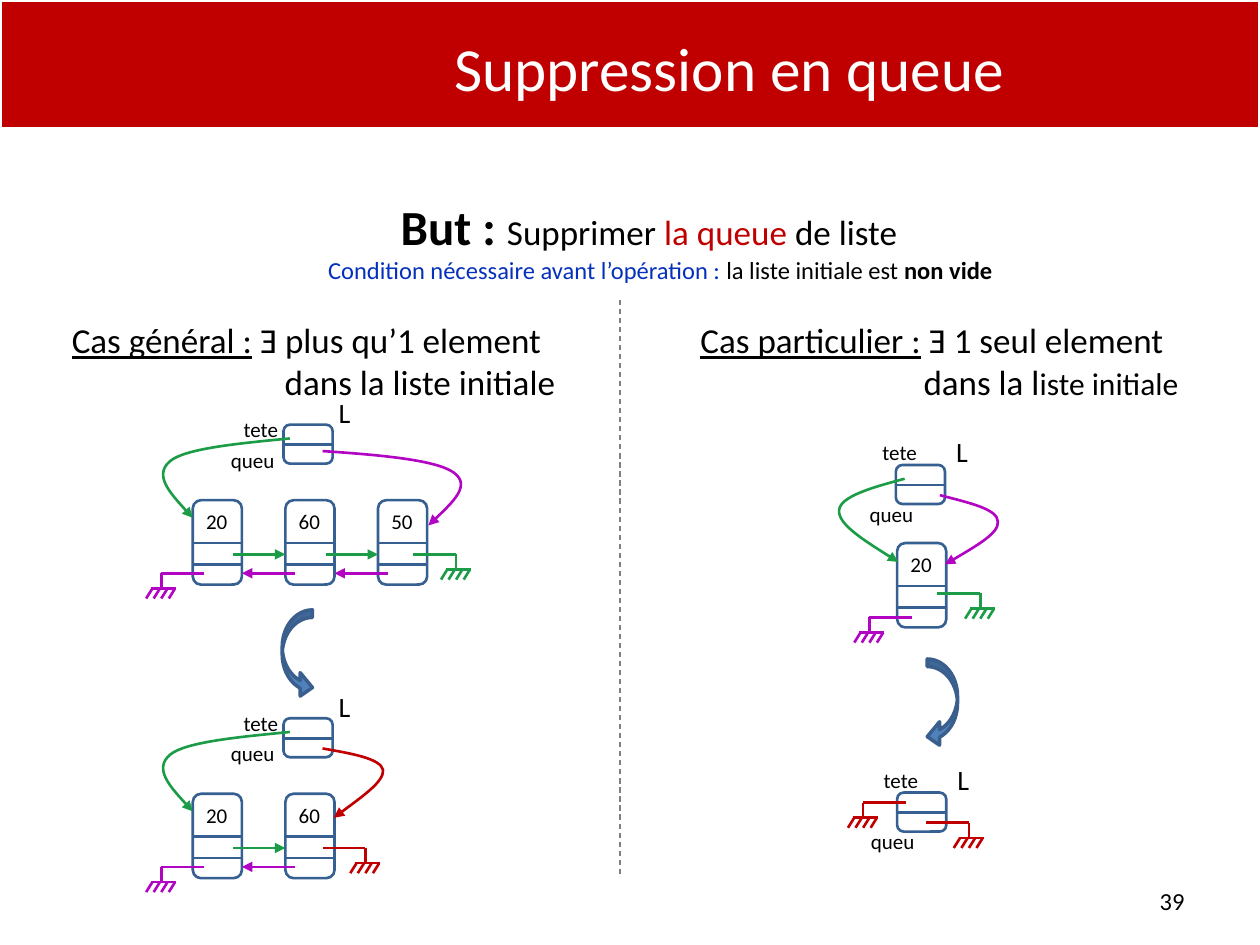
import dataclasses
import typing

import pptx
import pptx.dml.color
import pptx.enum.dml
import pptx.enum.shapes
import pptx.enum.text
import pptx.oxml
import pptx.oxml.ns
import pptx.util

Inches, Pt = pptx.util.Inches, pptx.util.Pt
qn = pptx.oxml.ns.qn
Shape = pptx.enum.shapes.MSO_SHAPE
Align = pptx.enum.text.PP_ALIGN
Point = tuple[float, float]

COLORS = {
    "red": "C00000", "white": "FFFFFF", "black": "000000", "blue": "0530BB",
    "edge": "376092", "green": "1C9C47", "purple": "B105C3", "gray": "808080",
    "arrow": "4F81BD", "rim": "3A5F8C",
}


@dataclasses.dataclass
class Run:
    text: str
    size: float
    color: str = "black"
    bold: bool = False
    under: bool = False


@dataclasses.dataclass
class Labels:
    """Offsets of the head's labels from its corner."""
    tete: Point
    queu: Point
    name: Point


@dataclasses.dataclass
class Ground:
    start: Point
    reach: float
    color: str


@dataclasses.dataclass
class Curve:
    points: list[Point]
    color: str


@dataclasses.dataclass
class Scene:
    """A list: its head, its nodes, and the pointers that leave it."""
    head: Point
    labels: Labels
    node: Point
    values: list[str]
    grounds: list[Ground]
    curves: list[Curve]


def rgb(color: str) -> pptx.dml.color.RGBColor:
    return pptx.dml.color.RGBColor.from_string(COLORS[color])


def style(shape: typing.Any, fill: str | None, edge: str, width: float = 1.5) -> None:
    shape.shadow.inherit = False
    if fill:
        shape.fill.solid()
        shape.fill.fore_color.rgb = rgb(fill)
    else:
        shape.fill.background()
    shape.line.color.rgb = rgb(edge)
    shape.line.width = Pt(width)


def add_tip(shape: typing.Any) -> None:
    line = shape._element.spPr.find(qn("a:ln"))
    pptx.oxml.ns  # namespace helpers
    line.append(line.makeelement(qn("a:tailEnd"), {"type": "triangle"}))


def add_line(shapes: typing.Any, start: Point, end: Point, color: str,
             tip: bool = False, width: float = 1.5) -> typing.Any:
    line = shapes.add_connector(pptx.enum.shapes.MSO_CONNECTOR.STRAIGHT,
                                *map(Inches, (*start, *end)))
    line.line.color.rgb = rgb(color)
    line.line.width = Pt(width)
    if tip:
        add_tip(line)
    props = line._element.spPr
    props.append(props.makeelement(qn("a:effectLst"), {}))
    return line


def add_box(shapes: typing.Any, kind: Shape, at: tuple, fill: str | None,
            edge: str, width: float = 1.5) -> typing.Any:
    box = shapes.add_shape(kind, *map(Inches, at))
    style(box, fill, edge, width)
    return box


def add_text(shapes: typing.Any, at: tuple, lines: list[list[Run]],
             align: Align = Align.CENTER, middle: bool = False,
             inset: bool = True) -> typing.Any:
    frame = shapes.add_textbox(*map(Inches, at)).text_frame
    frame.word_wrap = True
    if middle:
        frame.vertical_anchor = pptx.enum.text.MSO_ANCHOR.MIDDLE
    if not inset:
        frame.margin_left = frame.margin_right = 0
        frame.margin_top = frame.margin_bottom = 0
    for i, runs in enumerate(lines):
        para = frame.paragraphs[0] if i == 0 else frame.add_paragraph()
        para.alignment = align
        para.font.name = "Calibri"
        for item in runs:
            run = para.add_run()
            run.text = item.text
            run.font.size = Pt(item.size)
            run.font.color.rgb = rgb(item.color)
            run.font.bold = item.bold
            run.font.underline = item.under
    return frame


def indent(para: typing.Any, left: float, first: float = 0) -> None:
    props = para._p.get_or_add_pPr()
    props.set("marL", str(Inches(left)))
    props.set("indent", str(Inches(first)))


def add_curve(shapes: typing.Any, curve: Curve) -> None:
    start, *rest = [(Inches(x), Inches(y)) for x, y in curve.points]
    maker = shapes.build_freeform(*start)
    maker.add_line_segments(rest, close=False)
    shape = maker.convert_to_shape()
    # Join each three straight steps into one Bézier step
    steps = list(shape._element.iter(qn("a:lnTo")))
    for i in range(0, len(steps), 3):
        bend = steps[i].makeelement(qn("a:cubicBezTo"), {})
        steps[i].addprevious(bend)
        for step in steps[i:i + 3]:
            bend.append(step[0])
            step.getparent().remove(step)
    style(shape, None, curve.color)
    add_tip(shape)


def add_ground(shapes: typing.Any, ground: Ground) -> None:
    x, y = ground.start
    stem, bar = x + ground.reach, y + 0.12
    add_line(shapes, (x, y), (stem, y), ground.color)
    add_line(shapes, (stem, y), (stem, bar), ground.color)
    add_line(shapes, (stem - 0.08, bar), (stem + 0.12, bar), ground.color)
    for i in range(4):
        top = stem - 0.07 + i * 0.06
        add_line(shapes, (top, bar), (top - 0.05, bar + 0.08), ground.color)


def add_cell(shapes: typing.Any, at: Point, height: float, rules: list[float]) -> None:
    x, y = at
    add_box(shapes, Shape.ROUNDED_RECTANGLE, (x, y, 0.39, height), None, "edge")
    for rule in rules:
        add_line(shapes, (x, y + rule), (x + 0.39, y + rule), "edge")


def add_scene(slide: typing.Any, scene: Scene) -> None:
    shapes = slide.shapes.add_group_shape().shapes
    # Head and its labels
    x, y = scene.head
    add_cell(shapes, scene.head, 0.31, [0.16])
    marks = scene.labels
    for text, (dx, dy), area, size in (("tete", marks.tete, (1, 0.24), 12),
                                       ("queu", marks.queu, (0.85, 0.3), 12),
                                       ("L", marks.name, (0.37, 0.29), 16)):
        add_text(shapes, (x + dx, y + dy, *area), [[Run(text, size)]])
    # Nodes with links both ways
    left, y = scene.node
    for i, value in enumerate(scene.values):
        x = left + i * STEP
        add_cell(shapes, (x, y), 0.67, [0.34, 0.51])
        add_text(shapes, (x, y + 0.02, 0.38, 0.28), [[Run(value, 12)]])
        if i:
            back = x - STEP
            add_line(shapes, (back + 0.32, y + 0.43), (x, y + 0.43), "green", True)
            add_line(shapes, (x + 0.08, y + 0.58), (back + 0.39, y + 0.58), "purple", True)
    for ground in scene.grounds:
        add_ground(shapes, ground)
    for curve in scene.curves:
        add_curve(shapes, curve)


STEP = 0.735
DROP = 2.33  # from the list before to the list after
WIDE = Labels((-0.68, -0.11), (-0.67, 0.13), (0.3, -0.28))
SLIM = Labels((-0.47, -0.25), (-0.46, 0.24), (0.34, -0.29))
FRONT = [(2.3, 3.48), (1.89, 3.52), (1.47, 3.56), (1.35, 3.66),
         (1.22, 3.77), (1.37, 3.94), (1.53, 4.11)]
SCENES = [
    Scene((2.25, 3.37), WIDE, (1.53, 3.97), ["20", "60", "50"],
          [Ground((1.62, 4.55), -0.34, "purple"), Ground((3.28, 4.4), 0.34, "green")],
          [Curve(FRONT, "green"),
           Curve([(2.56, 3.58), (3.01, 3.61), (3.46, 3.65), (3.6, 3.75),
                  (3.74, 3.85), (3.57, 4.01), (3.4, 4.17)], "purple")]),
    Scene((2.25, 3.37 + DROP), WIDE, (1.53, 3.97 + DROP), ["20", "60"],
          [Ground((1.62, 4.55 + DROP), -0.34, "purple"),
           Ground((2.56, 6.73), 0.34, "red")],
          [Curve([(x, y + DROP) for x, y in FRONT], "green"),
           Curve([(2.56, 5.94), (2.79, 5.98), (3.02, 6.02), (3.04, 6.11),
                  (3.05, 6.2), (2.85, 6.34), (2.65, 6.49)], "red")]),
    Scene((7.11, 3.69), SLIM, (7.12, 4.31), ["20"],
          [Ground((7.24, 4.9), -0.34, "purple"), Ground((7.44, 4.71), 0.34, "green")],
          [Curve([(7.18, 3.8), (6.92, 3.87), (6.67, 3.94), (6.66, 4.05),
                  (6.65, 4.16), (6.89, 4.31), (7.13, 4.46)], "green"),
           Curve([(7.46, 3.93), (7.69, 3.99), (7.92, 4.04), (7.92, 4.14),
                  (7.93, 4.23), (7.72, 4.35), (7.5, 4.48)], "purple")]),
    Scene((7.12, 6.29), SLIM, (0, 0), [],
          [Ground((7.19, 6.37), -0.34, "red"), Ground((7.35, 6.53), 0.34, "red")], []),
]


def main() -> None:
    deck = pptx.Presentation()
    deck.slide_width, deck.slide_height = Inches(10), Inches(7.5)
    slide = deck.slides.add_slide(deck.slide_layouts[6])
    shapes = slide.shapes

    # Title band
    add_box(shapes, Shape.RECTANGLE, (0, 0, 10, 1.02), "red", "white", 2)
    add_text(shapes, (2.17, 0.19, 7.24, 0.69),
             [[Run("Suppression en queue", 35, "white")]], middle=True)

    # Goal and condition
    goal = add_text(shapes, (0.28, 1.51, 9.72, 0.9), [
        [Run("But : ", 28, bold=True), Run("Supprimer ", 20),
         Run("la queue ", 20, "red"), Run("de liste", 20)],
        [Run("Condition nécessaire avant l’opération :", 14, "blue"),
         Run(" la liste initiale est ", 14), Run("non vide", 14, bold=True)]])
    indent(goal.paragraphs[0], 0.4, -0.38)
    indent(goal.paragraphs[1], 0.4, -0.2)

    # The two cases
    for x, case, count, last, shift in (
            (0.57, "Cas général :", " Ǝ plus qu’1 element",
             [Run("dans la liste initiale", 20)], 1.69),
            (5.56, "Cas particulier :", " Ǝ 1 seul element",
             [Run("dans la l", 20), Run("iste initiale", 18)], 1.77)):
        frame = add_text(shapes, (x, 2.53, 4.2, 0.7),
                         [[Run(case, 20, under=True), Run(count, 20)], last],
                         Align.LEFT, inset=False)
        indent(frame.paragraphs[1], shift)
    rule = add_line(shapes, (4.92, 2.38), (4.92, 6.95), "gray", width=0.75)
    rule.line.dash_style = pptx.enum.dml.MSO_LINE.DASH

    # Lists before and after
    for scene in SCENES:
        add_scene(slide, scene)
    for x, y, flip in ((2.24, 4.84, "0"), (7.36, 5.23, "1")):
        arrow = add_box(shapes, Shape.CURVED_RIGHT_ARROW, (x, y, 0.24, 0.71),
                        "arrow", "rim", 2)
        for i, value in enumerate((0.25, 0.775, 0.406)):
            arrow.adjustments[i] = value
        arrow._element.spPr.find(qn("a:xfrm")).set("flipH", flip)

    # Slide number
    add_text(shapes, (7.17, 6.95, 2.33, 0.4), [[Run("39", 14)]], Align.RIGHT, True)
    deck.save("out.pptx")


if __name__ == "__main__":
    main()
